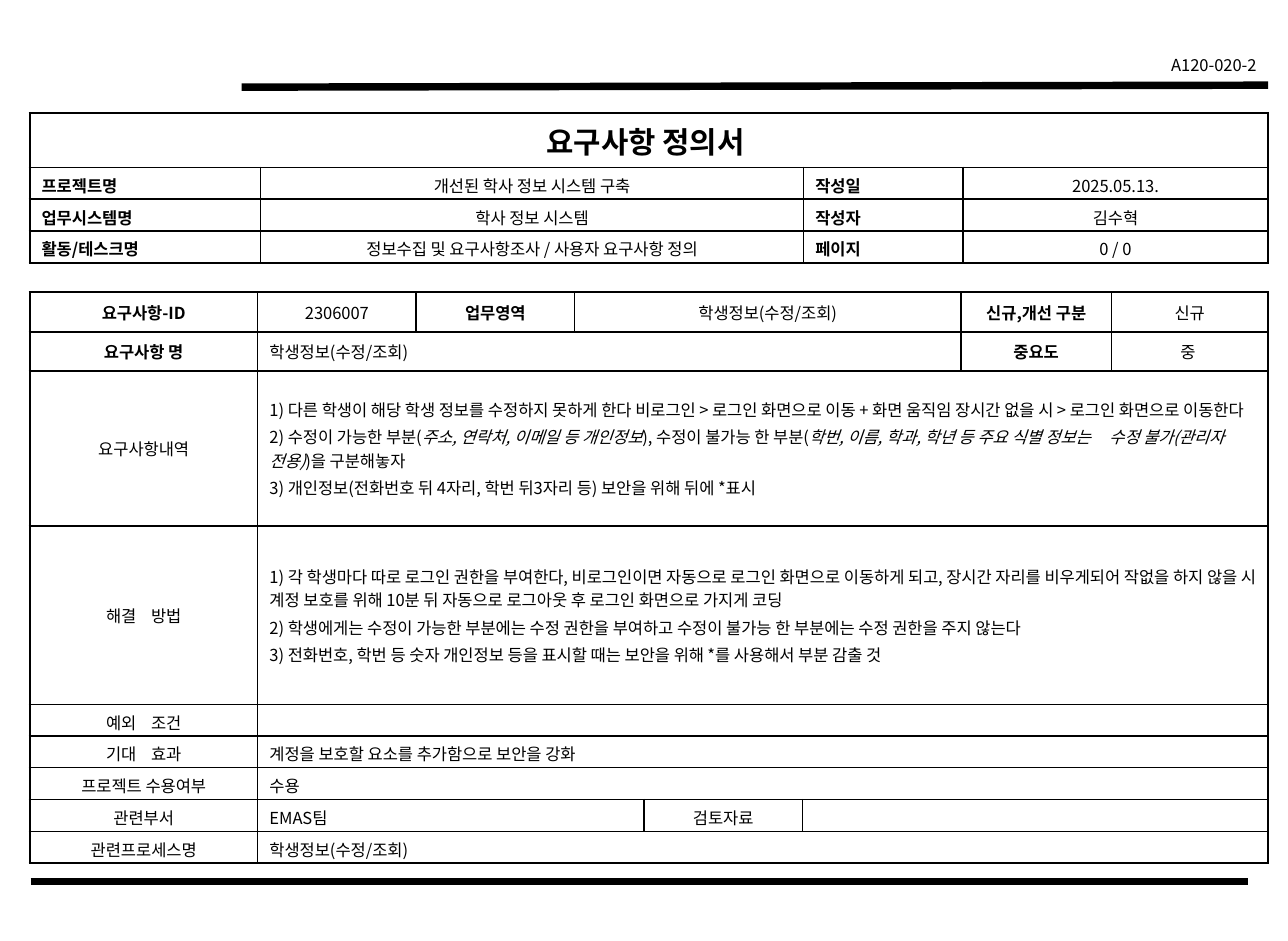
from lxml import etree
from pptx import Presentation
from pptx.dml.color import RGBColor
from pptx.enum.shapes import MSO_CONNECTOR
from pptx.enum.text import MSO_ANCHOR, PP_ALIGN
from pptx.oxml.ns import qn
from pptx.util import Pt

PX = 7620  # 120 px to the inch
FONT = "Noto Sans CJK KR"
BLACK = "000000"
ALIGN = {"c": PP_ALIGN.CENTER, "l": PP_ALIGN.LEFT,
         "j": PP_ALIGN.JUSTIFY, "r": PP_ALIGN.RIGHT}


def write(paragraph, text, size, align, bold=False):
    """Add the text; every second part between bars is italic."""
    paragraph.alignment = ALIGN[align]
    for i, part in enumerate(text.split("|")):
        if not part:
            continue
        run = paragraph.add_run()
        run.text = part
        run.font.size, run.font.bold, run.font.italic = Pt(size), bold, i % 2 == 1
        run.font.name = FONT
        run.font.color.rgb = RGBColor.from_string(BLACK)
        etree.SubElement(run._r.rPr, qn("a:ea"), typeface=FONT)
    if not text:
        etree.SubElement(paragraph._p, qn("a:endParaRPr"), sz=str(size * 100))


def draw_border(cell, side, width):
    line = etree.SubElement(cell._tc.get_or_add_tcPr(), qn("a:" + side), w=str(Pt(width)))
    fill = etree.SubElement(line, qn("a:solidFill"))
    etree.SubElement(fill, qn("a:srgbClr"), val=BLACK)


prs = Presentation()
prs.slide_width, prs.slide_height = 1300 * PX, 950 * PX
slide = prs.slides.add_slide(prs.slide_layouts[6])

# Header and footer rules
for x1, y1, x2, y2 in [(244, 88, 1280, 86), (31, 890, 1260, 890)]:
    rule = slide.shapes.add_connector(
        MSO_CONNECTOR.STRAIGHT, x1 * PX, y1 * PX, x2 * PX, y2 * PX)
    rule.line.width = Pt(4.5)
    rule.line.color.rgb = RGBColor.from_string(BLACK)
    etree.SubElement(rule._element.spPr, qn("a:effectLst"))

# Form number
form_number = slide.shapes.add_textbox(1150 * PX, 50 * PX, 130 * PX, 32 * PX)
form_number.text_frame.word_wrap = True
write(form_number.text_frame.paragraphs[0], "A120-020-2", 10, "r")

# Cells are (text, columns spanned, alignment, bold)
requirement = [
    [("요구사항-ID", 1, "c", True), ("2306007", 1, "c", False),
     ("업무영역", 1, "c", True), ("학생정보(수정/조회)", 3, "c", False),
     ("신규,개선 구분", 1, "c", True), ("신규", 1, "c", False)],
    [("요구사항 명", 1, "c", True), ("학생정보(수정/조회)", 5, "l", False),
     ("중요도", 1, "c", True), ("중 ", 1, "c", False)],
    [("요구사항내역", 1, "c", False),
     ("1) 다른 학생이 해당 학생 정보를 수정하지 못하게 한다 비로그인 > 로그인 화면으로 이동 + "
      "화면 움직임 장시간 없을 시 > 로그인 화면으로 이동한다\n"
      "2) 수정이 가능한 부분(|주소, 연락처, 이메일 등 개인정보|), 수정이 불가능 한 부분("
      "|학번, 이름, 학과, 학년 등 주요 식별 정보는     수정 불가(관리자 전용)|)을 구분해놓자\n"
      "3) 개인정보(전화번호 뒤 4자리, 학번 뒤3자리 등) 보안을 위해 뒤에 *표시", 7, "l", False)],
    [("해결    방법", 1, "c", False),
     ("1) 각 학생마다 따로 로그인 권한을 부여한다, 비로그인이면 자동으로 로그인 화면으로 이동하게 되고, "
      "장시간 자리를 비우게되어 작없을 하지 않을 시 계정 보호를 위해 10분 뒤 자동으로 로그아웃 후 "
      "로그인 화면으로 가지게 코딩\n"
      "2) 학생에게는 수정이 가능한 부분에는 수정 권한을 부여하고 수정이 불가능 한 부분에는 "
      "수정 권한을 주지 않는다\n"
      "3) 전화번호, 학번 등 숫자 개인정보 등을 표시할 때는 보안을 위해 *를 사용해서 부분 감출 것",
      7, "l", False)],
    [("예외    조건", 1, "c", False), ("", 7, "l", False)],
    [("기대    효과", 1, "c", False),
     ("계정을 보호할 요소를 추가함으로 보안을 강화", 7, "l", False)],
    [("프로젝트 수용여부", 1, "c", False), ("수용", 7, "l", False)],
    [("관련부서", 1, "c", False), ("EMAS팀", 3, "l", False),
     ("검토자료", 1, "c", False), ("", 3, "l", False)],
    [("관련프로세스명", 1, "c", False), ("학생정보(수정/조회)", 7, "l", False)],
]
document_info = [[("요구사항 정의서 ", 4, "c", True)]]
for label, value, label2, value2 in [
        ("프로젝트명", "개선된 학사 정보 시스템 구축", "작성일", "2025.05.13."),
        ("업무시스템명 ", "학사 정보 시스템", "작성자", "김수혁"),
        ("활동/테스크명", "정보수집 및 요구사항조사 / 사용자 요구사항 정의", "페이지", "0 / 0")]:
    document_info.append([(label, 1, "j", True), (value, 1, "c", False),
                          (label2, 1, "j", True), (value2, 1, "c", False)])

# Both tables: top, column widths, row heights, rows, number of thick-ruled rows
for top, widths, heights, rows, thick_rows in [
        (295, [230, 160, 160, 70, 160, 160, 152, 158],
         [40, 40, 156, 180] + [32] * 5, requirement, 2),
        (114, [233, 548, 161, 308], [55, 32, 32, 32], document_info, 0)]:
    table = slide.shapes.add_table(len(heights), len(widths), 30 * PX, top * PX,
                                   sum(widths) * PX, sum(heights) * PX).table
    table.first_row = table.horz_banding = False
    table._tbl.tblPr.find(qn("a:tableStyleId")).text = "{2D5ABB26-0587-4C30-8999-92F81FD0307C}"
    for column, width in zip(table.columns, widths):
        column.width = width * PX
    for row, height in zip(table.rows, heights):
        row.height = height * PX

    for r, row in enumerate(rows):
        c = 0
        for text, span, align, bold in row:
            cell = table.cell(r, c)
            if span > 1:
                cell.merge(table.cell(r, c + span - 1))
            is_title = rows is document_info and r == 0
            is_top_anchored = rows is document_info and r > 0
            cell.vertical_anchor = MSO_ANCHOR.TOP if is_top_anchored else MSO_ANCHOR.MIDDLE
            for i, line in enumerate(text.split("\n")):
                paragraph = cell.text_frame.paragraphs[0] if i == 0 else cell.text_frame.add_paragraph()
                paragraph.space_before = Pt(2)
                write(paragraph, line, 18 if is_title else 10, align, bold)
            if text.startswith("1) 다른"):
                cell.text_frame.paragraphs[0].space_before = Pt(18)

            # Thick outer frame, thin inner lines
            last_row, last_column = r == len(rows) - 1, c + span == len(widths)
            for side, is_thick in [("lnL", c == 0), ("lnR", last_column),
                                   ("lnT", r == 0 or r <= thick_rows and thick_rows),
                                   ("lnB", r < thick_rows or last_row)]:
                draw_border(cell, side, 1.5 if is_thick else 1)
            cell.fill.background()
            c += span

prs.save("out.pptx")
